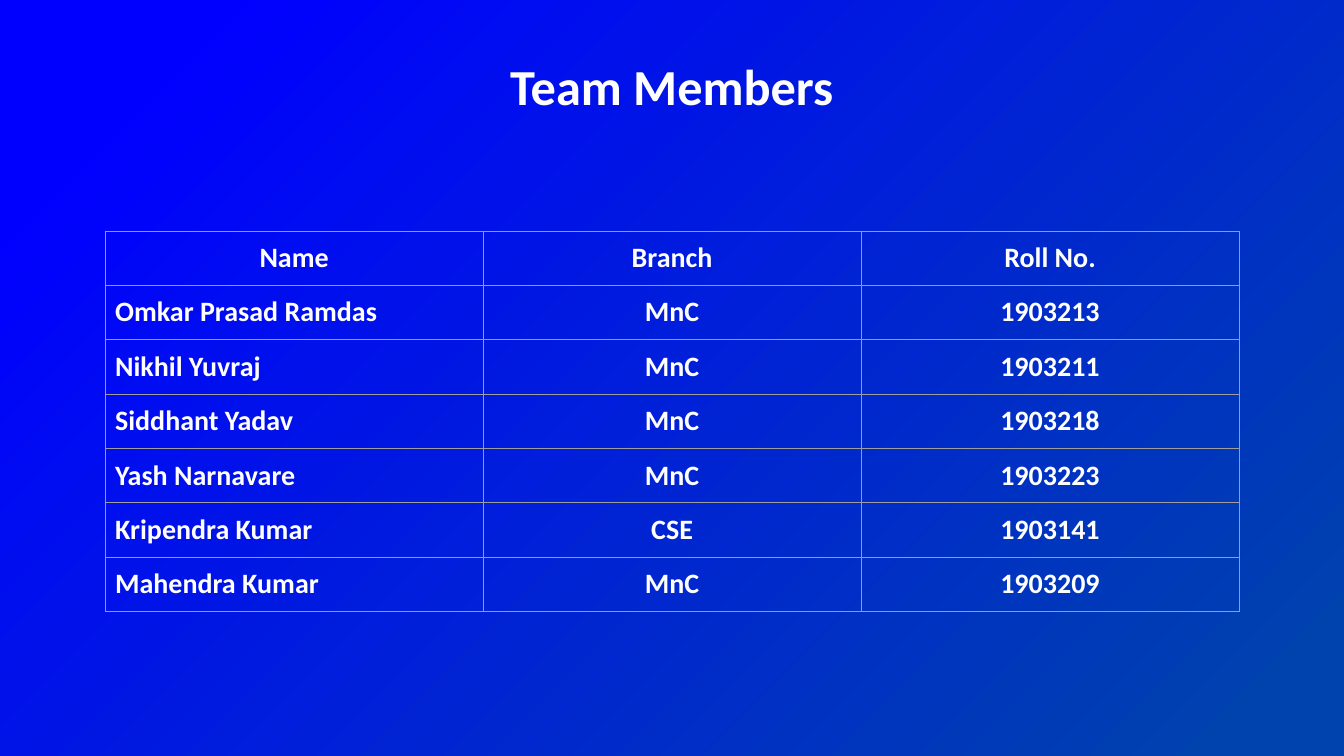
"""Build the Team Members slide: a title over a three-column table on a blue gradient."""
import dataclasses

import pptx
import pptx.dml.color
import pptx.enum.text
import pptx.oxml
import pptx.oxml.ns
import pptx.util

Cm, Pt = pptx.util.Cm, pptx.util.Pt
RGBColor = pptx.dml.color.RGBColor
PP_ALIGN, MSO_ANCHOR = pptx.enum.text.PP_ALIGN, pptx.enum.text.MSO_ANCHOR
qn, nsdecls = pptx.oxml.ns.qn, pptx.oxml.ns.nsdecls


@dataclasses.dataclass(frozen=True)
class Theme:
    font: str = "Calibri"
    text: str = "FFFFFF"
    border: str = "9E9E9E"
    gradient: tuple = ((0, "0000FF"), (10, "0000FF"), (94, "0042AE"), (100, "0042AE"))
    title_size: int = 36
    table_size: int = 20
    border_width: float = 0.75


THEME = Theme()
MEMBERS = [
    ("Name", "Branch", "Roll No."),
    ("Omkar Prasad Ramdas", "MnC", "1903213"),
    ("Nikhil Yuvraj", "MnC", "1903211"),
    ("Siddhant Yadav", "MnC", "1903218"),
    ("Yash Narnavare", "MnC", "1903223"),
    ("Kripendra Kumar", "CSE", "1903141"),
    ("Mahendra Kumar", "MnC", "1903209"),
]


def write(p, text, size, align):
    p.text = text
    p.alignment = align
    p.font.name = THEME.font
    p.font.size = Pt(size)
    p.font.bold = True
    p.font.color.rgb = RGBColor.from_string(THEME.text)


def add_borders(cell):
    tcPr = cell._tc.get_or_add_tcPr()
    for i, side in enumerate(("lnL", "lnR", "lnT", "lnB")):
        tcPr.insert(i, pptx.oxml.parse_xml(
            f'<a:{side} {nsdecls("a")} w="{Pt(THEME.border_width)}"><a:solidFill>'
            f'<a:srgbClr val="{THEME.border}"/></a:solidFill></a:{side}>'))


prs = pptx.Presentation()
prs.slide_width, prs.slide_height = Cm(33.87), Cm(19.05)
s = prs.slides.add_slide(prs.slide_layouts[5])

fill = s.background.fill
fill.gradient()
fill.gradient_angle = 315
gsLst = next(s.element.iter(qn("a:gsLst")))
for gs in list(gsLst):
    gsLst.remove(gs)
for pos, color in THEME.gradient:
    gsLst.append(pptx.oxml.parse_xml(
        f'<a:gs {nsdecls("a")} pos="{pos * 1000}"><a:srgbClr val="{color}"/></a:gs>'))

title = s.shapes.title
title.left, title.top, title.width, title.height = Cm(2.54), Cm(1.27), Cm(28.78), Cm(1.65)
tf = title.text_frame
tf.margin_left = tf.margin_top = tf.margin_right = tf.margin_bottom = 0
tf.vertical_anchor = MSO_ANCHOR.BOTTOM
tf.auto_size = pptx.enum.text.MSO_AUTO_SIZE.NONE
write(tf.paragraphs[0], "Team Members", THEME.title_size, PP_ALIGN.CENTER)

row_count, col_count = len(MEMBERS), len(MEMBERS[0])
table = s.shapes.add_table(row_count, col_count, Cm(2.65), Cm(5.82),
                           Cm(9.525 * col_count), Cm(1.37 * row_count)).table
table.first_row = table.horz_banding = False
for r, row in enumerate(MEMBERS):
    for c, text in enumerate(row):
        cell = table.cell(r, c)
        cell.fill.background()
        cell.margin_left = cell.margin_top = cell.margin_right = cell.margin_bottom = Cm(0.25)
        add_borders(cell)
        align = PP_ALIGN.LEFT if r and not c else PP_ALIGN.CENTER
        write(cell.text_frame.paragraphs[0], text, THEME.table_size, align)

prs.save("out.pptx")
